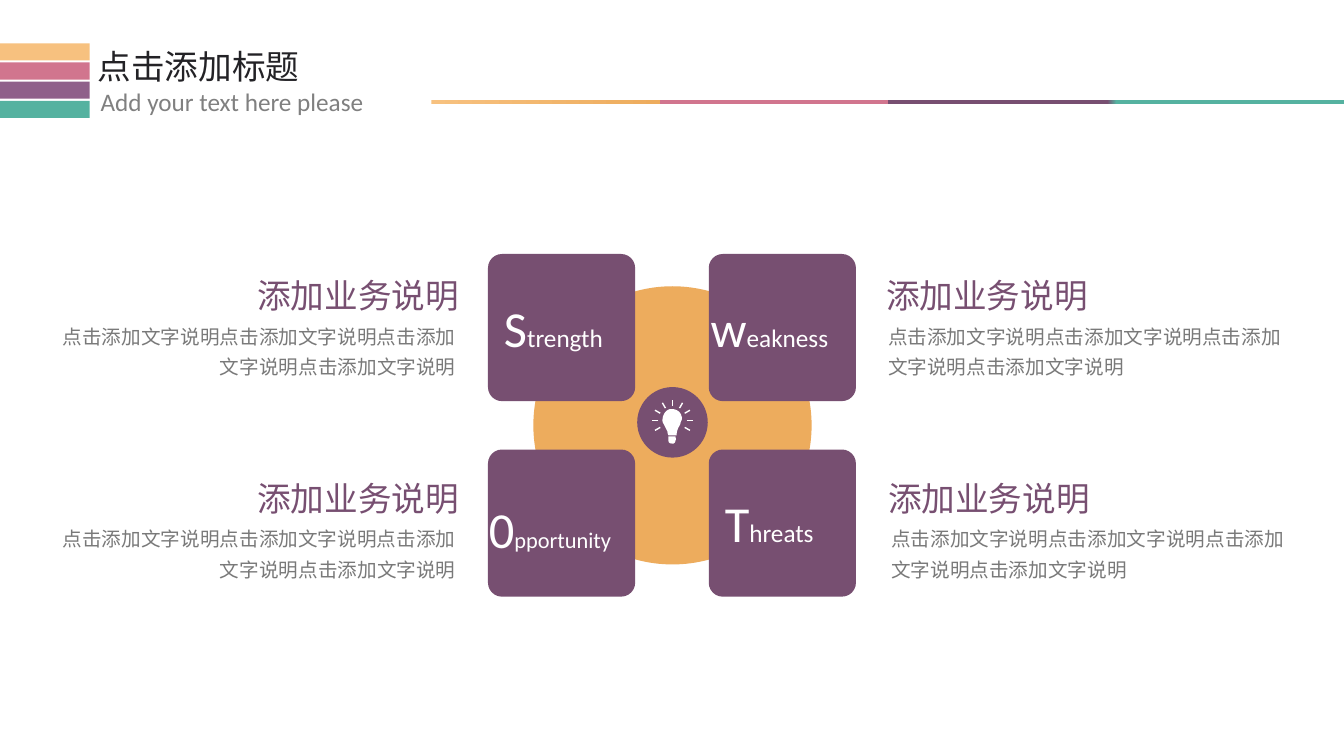
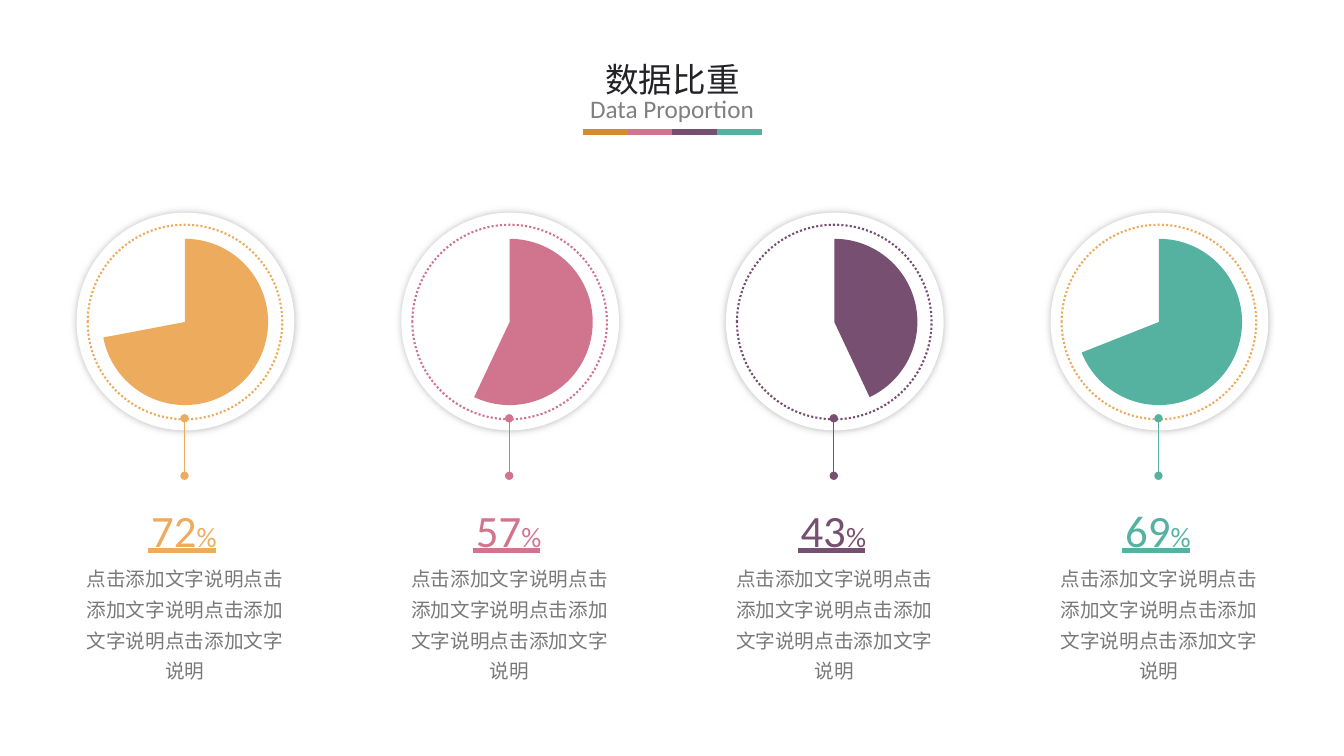
import math
from dataclasses import dataclass

from lxml import etree
from pptx import Presentation
from pptx import util as u
from pptx.chart import data as cd
from pptx.dml.color import RGBColor
from pptx.enum import chart as ce, dml, shapes, text
from pptx.oxml import parse_xml
from pptx.oxml.ns import nsdecls, qn

Inches = u.Inches
SHAPE = shapes.MSO_SHAPE
ALIGN = text.PP_ALIGN


@dataclass(frozen=True)
class Theme:
    gold: str = "EDAC5D"
    pale_gold: str = "F7C17F"
    dark_gold: str = "D58C2E"
    pink: str = "D1758E"
    plum: str = "774F71"
    light_plum: str = "8F608A"
    teal: str = "55B2A0"
    white: str = "FFFFFF"
    ink: str = "232226"
    subtitle: str = "808080"
    body: str = "797979"
    shadow: str = "BFBFBF"
    chart_text: str = "F2F2F2"
    latin: str = "Calibri"
    cjk: str = "Noto Sans CJK SC"
    sz_initial: int = 36
    sz_number: int = 32
    sz_title: int = 24
    sz_percent: int = 20
    sz_sub: int = 18
    sz_long_word: int = 16
    sz_body: int = 14
    sz_chart: int = 10


T = Theme()
BODY = "点击添加文字说明" * 4


# Basic elements
def rgb(code):
    return RGBColor.from_string(code)


def add_text(s, box, runs, align=ALIGN.LEFT, spacing=None):
    """Each run is (text, size, colour, latin font)."""
    tf = s.shapes.add_textbox(*map(Inches, box)).text_frame
    tf.word_wrap = True
    p = tf.paragraphs[0]
    p.alignment = align
    if spacing:
        p.line_spacing = spacing
    for words, size, color, face in runs:
        r = p.add_run()
        r.text = words
        r.font.size = u.Pt(size)
        r.font.name = face
        r.font.color.rgb = rgb(color)
        ea = etree.SubElement(r.font._element, qn("a:ea"))
        ea.set("typeface", T.cjk)


def add_body(s, box, align):
    add_text(s, box, [(BODY, T.sz_body, T.body, T.latin)], align, 1.3)


def add_title(s, title_box, sub_box, title, sub, align):
    add_text(s, title_box, [(title, T.sz_title, T.ink, T.cjk)], align)
    add_text(s, sub_box, [(sub, T.sz_sub, T.subtitle, T.latin)], align)


def paint(sp, fill):
    sp.shadow.inherit = False
    sp.line.fill.background()
    if fill:
        sp.fill.solid()
        sp.fill.fore_color.rgb = rgb(fill)
    else:
        sp.fill.background()
    return sp


def add_shape(s, kind, box, fill=None):
    return paint(s.shapes.add_shape(kind, *map(Inches, box)), fill)


def add_line(s, start, end, color, width, dots=False):
    cx = s.shapes.add_connector(shapes.MSO_CONNECTOR.STRAIGHT,
                                *map(Inches, start + end))
    cx.line.color.rgb = rgb(color)
    cx.line.width = u.Pt(width)
    if dots:
        ln = cx.line._get_or_add_ln()
        for tag in ("a:headEnd", "a:tailEnd"):
            etree.SubElement(ln, qn(tag)).set("type", "oval")
    etree.SubElement(cx._element.spPr, qn("a:effectLst"))


def add_curve(s, start, curves, fill):
    """Closed outline from cubic curves, each (c1x, c1y, c2x, c2y, x, y)."""
    pts, steps = [start], 8
    for x1, y1, x2, y2, x3, y3 in curves:
        x0, y0 = pts[-1]
        for i in range(1, steps + 1):
            t = i / steps
            k = ((1 - t) ** 3, 3 * t * (1 - t) ** 2, 3 * t * t * (1 - t), t ** 3)
            pts.append((sum(a * b for a, b in zip(k, (x0, x1, x2, x3))),
                        sum(a * b for a, b in zip(k, (y0, y1, y2, y3)))))
    pts = [(Inches(x), Inches(y)) for x, y in pts]
    fb = s.shapes.build_freeform(*pts[0])
    fb.add_line_segments(pts[1:], close=True)
    paint(fb.convert_to_shape(), fill)


def set_gradient(sp, stops):
    sp.fill.gradient()
    sp.fill.gradient_angle = 0
    gs_lst = sp._element.spPr.find(qn("a:gradFill")).find(qn("a:gsLst"))
    for gs in list(gs_lst):
        gs_lst.remove(gs)
    for pos, color in stops:
        gs = etree.SubElement(gs_lst, qn("a:gs"), pos=str(pos * 1000))
        etree.SubElement(gs, qn("a:srgbClr"), val=color)


def add_glow(sp, color, blur):
    fx = sp._element.spPr.find(qn("a:effectLst"))
    fx.append(parse_xml(
        f'<a:outerShdw {nsdecls("a")} blurRad="{u.Pt(blur)}" dist="0" dir="0" '
        f'algn="ctr" rotWithShape="0"><a:srgbClr val="{color}"/></a:outerShdw>'))


def add_pie(s, box, value, color, diameter):
    data = cd.CategoryChartData()
    data.categories = ["1", "2"]
    data.add_series("Series 1", (value, 100 - value))
    chart = s.shapes.add_chart(ce.XL_CHART_TYPE.PIE, *map(Inches, box), data).chart
    chart.has_legend = chart.has_title = False
    chart.font.size = u.Pt(T.sz_chart)
    chart.font.name = T.latin
    chart.font.color.rgb = rgb(T.chart_text)
    plot = chart.plots[0]
    plot.vary_by_categories = True
    share, rest = (plot.series[0].points[i].format for i in range(2))
    share.fill.solid()
    share.fill.fore_color.rgb = rgb(color)
    rest.fill.background()
    for part in (share, rest):
        part.line.fill.background()
    # Fixed pie diameter, centred, on a clear background
    w, h = diameter / box[2], diameter / box[3]
    vals = (("x", (1 - w) / 2), ("y", (1 - h) / 2), ("w", w), ("h", h))
    area = chart._chartSpace.chart.plotArea
    for old in area.findall(qn("c:layout")):
        area.remove(old)
    area.insert(0, parse_xml(
        f'<c:layout {nsdecls("c")}><c:manualLayout><c:layoutTarget val="inner"/>'
        '<c:xMode val="edge"/><c:yMode val="edge"/>'
        + "".join(f'<c:{n} val="{v:.4f}"/>' for n, v in vals)
        + '</c:manualLayout></c:layout>'))
    chart._chartSpace.chart.addnext(parse_xml(
        f'<c:spPr {nsdecls("c", "a")}><a:noFill/><a:ln><a:noFill/></a:ln></c:spPr>'))


# SWOT slide
def add_header(s):
    for i, color in enumerate((T.pale_gold, T.pink, T.light_plum, T.teal)):
        add_shape(s, SHAPE.RECTANGLE, (0, 0.43 + 0.19 * i, 0.89, 0.17), color)
    add_title(s, (0.87, 0.41, 2.36, 0.5), (0.9, 0.81, 3.67, 0.4),
              "点击添加标题", "Add your text here please", ALIGN.LEFT)
    rule = add_shape(s, SHAPE.RECTANGLE, (4.28, 0.99, 9.06, 0.04))
    set_gradient(rule, ((0, T.pale_gold), (25, T.gold), (25, T.pink), (50, T.pink),
                        (50, T.plum), (74, T.plum), (75, T.teal), (100, T.teal)))


def add_bulb(s):
    add_shape(s, SHAPE.OVAL, (6.32, 3.84, 0.7, 0.7), T.plum)
    add_curve(s, (6.71, 4.32), (
        (6.68, 4.32, 6.65, 4.32, 6.63, 4.32), (6.62, 4.3, 6.62, 4.29, 6.62, 4.28),
        (6.61, 4.26, 6.6, 4.24, 6.59, 4.22), (6.58, 4.2, 6.57, 4.19, 6.57, 4.17),
        (6.57, 4.12, 6.6, 4.07, 6.64, 4.06), (6.7, 4.05, 6.75, 4.08, 6.76, 4.13),
        (6.77, 4.15, 6.76, 4.17, 6.75, 4.19), (6.75, 4.21, 6.74, 4.22, 6.73, 4.24),
        (6.72, 4.26, 6.71, 4.29, 6.71, 4.32)), T.white)
    add_curve(s, (6.63, 4.33), (
        (6.65, 4.33, 6.68, 4.33, 6.7, 4.33), (6.7, 4.35, 6.71, 4.36, 6.7, 4.37),
        (6.7, 4.39, 6.68, 4.41, 6.66, 4.4), (6.64, 4.4, 6.63, 4.39, 6.63, 4.37),
        (6.63, 4.36, 6.63, 4.34, 6.63, 4.33)), T.white)
    # Rays every 30 degrees around the bulb
    for deg in range(-30, 211, 30):
        dx, dy = math.cos(math.radians(deg)), -math.sin(math.radians(deg))
        start, end = ((6.67 + r * dx, 4.17 + r * dy) for r in (0.14, 0.2))
        add_line(s, start, end, T.white, 1)


def swot_slide(s):
    add_header(s)
    add_shape(s, SHAPE.OVAL, (5.29, 2.84, 2.76, 2.76), T.gold)
    # Tiles: column, row, label box, initial, rest of word, its size
    tiles = (
        (0, 0, (4.9, 2.9, 1.4, 0.71), "S", "trength", T.sz_sub),
        (1, 0, (6.95, 2.9, 1.62, 0.71), "w", "eakness", T.sz_sub),
        (0, 1, (4.75, 4.89, 1.7, 0.71), "0", "pportunity", T.sz_long_word),
        (1, 1, (7.09, 4.83, 1.34, 0.71), "T", "hreats", T.sz_sub),
    )
    for col, row, box, initial, rest, size in tiles:
        tile = add_shape(s, SHAPE.ROUNDED_RECTANGLE,
                         (4.84 + 2.19 * col, 2.52 + 1.94 * row, 1.46, 1.46), T.plum)
        tile.adjustments[0] = 0.095
        add_text(s, box, [(initial, T.sz_initial, T.white, T.latin),
                          (rest, size, T.white, T.latin)])
    add_bulb(s)
    # Notes: heading left, heading width, body left, top, alignment
    notes = (
        (8.69, 2.63, 8.71, 2.68, ALIGN.LEFT),
        (8.71, 2.63, 8.74, 4.69, ALIGN.LEFT),
        (0.49, 4.16, 0.42, 2.68, ALIGN.RIGHT),
        (0.49, 4.16, 0.42, 4.69, ALIGN.RIGHT),
    )
    for head_x, head_w, body_x, y, align in notes:
        add_text(s, (head_x, y, head_w, 0.5),
                 [("添加业务说明", T.sz_title, T.plum, T.cjk)], align)
        add_body(s, (body_x, y + 0.42, 4.2, 0.71), align)


# Proportion slide
def add_gauge(s, x, value, color, ring_color):
    disc = add_shape(s, SHAPE.OVAL, (x + 0.37, 2.11, 2.16, 2.16), T.white)
    add_glow(disc, T.shadow, 5)
    add_pie(s, (x, 2.23, 2.89, 1.93), value, color, 1.65)
    ring = add_shape(s, SHAPE.OVAL, (x + 0.48, 2.23, 1.93, 1.93))
    ring.line.color.rgb = rgb(ring_color)
    ring.line.width = u.Pt(1.5)
    ring.line.dash_style = dml.MSO_LINE.ROUND_DOT
    add_line(s, (x + 1.44, 4.15), (x + 1.44, 4.72), color, 0.5, dots=True)
    add_text(s, (x + 0.12, 4.94, 2.63, 0.64),
             [(str(value), T.sz_number, color, T.latin),
              ("%", T.sz_percent, color, T.latin)], ALIGN.CENTER)
    add_body(s, (x + 0.31, 5.51, 2.27, 1.33), ALIGN.CENTER)
    add_line(s, (x + 1.08, 5.46), (x + 1.75, 5.46), color, 3.75)


def proportion_slide(s):
    add_title(s, (5.62, 0.54, 2.1, 0.5), (5.59, 0.88, 2.15, 0.4),
              "数据比重", "Data Proportion", ALIGN.CENTER)
    step = 0.445
    for i, color in enumerate((T.dark_gold, T.pink, T.plum, T.teal)):
        x = 5.78 + step * i
        add_line(s, (x, 1.31), (x + step, 1.31), color, 3.75)
    gauges = ((72, T.gold, T.gold), (57, T.pink, T.pink),
              (43, T.plum, T.plum), (69, T.teal, T.gold))
    for i, gauge in enumerate(gauges):
        add_gauge(s, 0.39 + 3.22 * i, *gauge)


def main():
    prs = Presentation()
    prs.slide_width, prs.slide_height = Inches(13.33), Inches(7.5)
    for build in (swot_slide, proportion_slide):
        build(prs.slides.add_slide(prs.slide_layouts[6]))
    prs.save("out.pptx")


if __name__ == "__main__":
    main()
